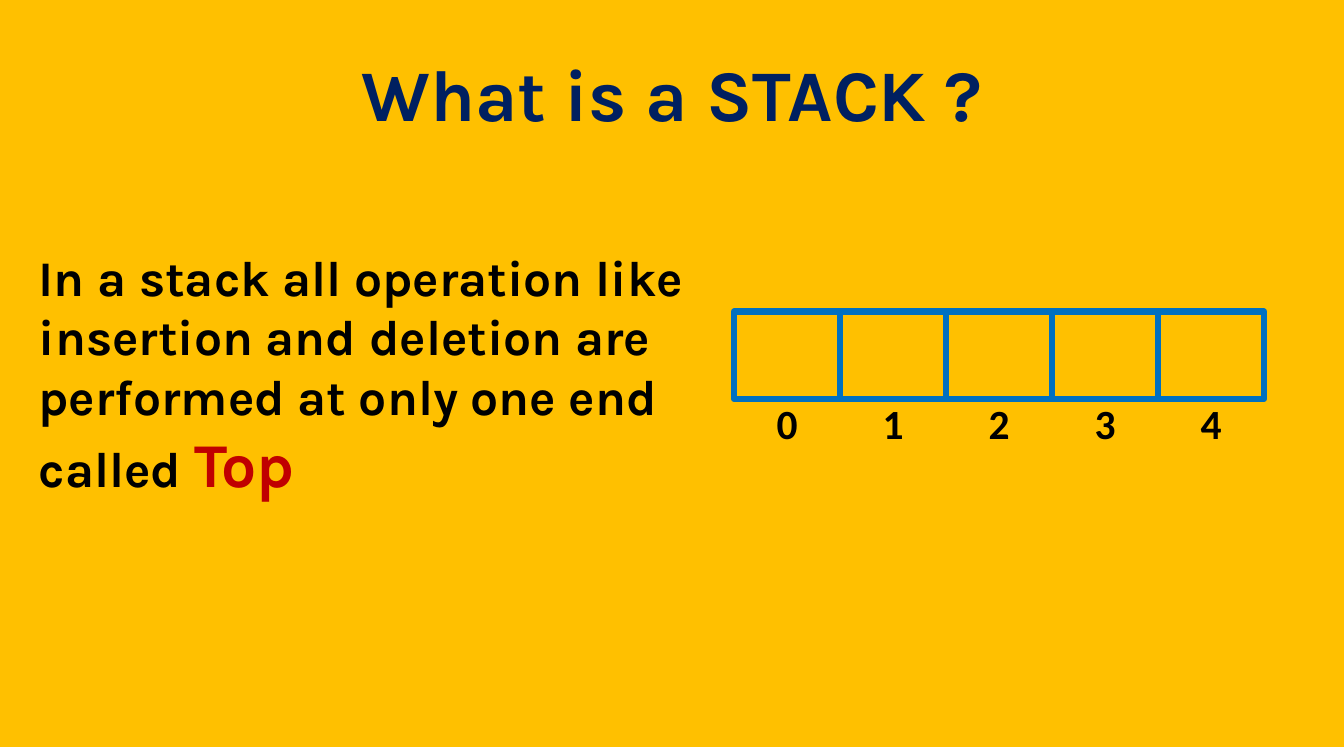
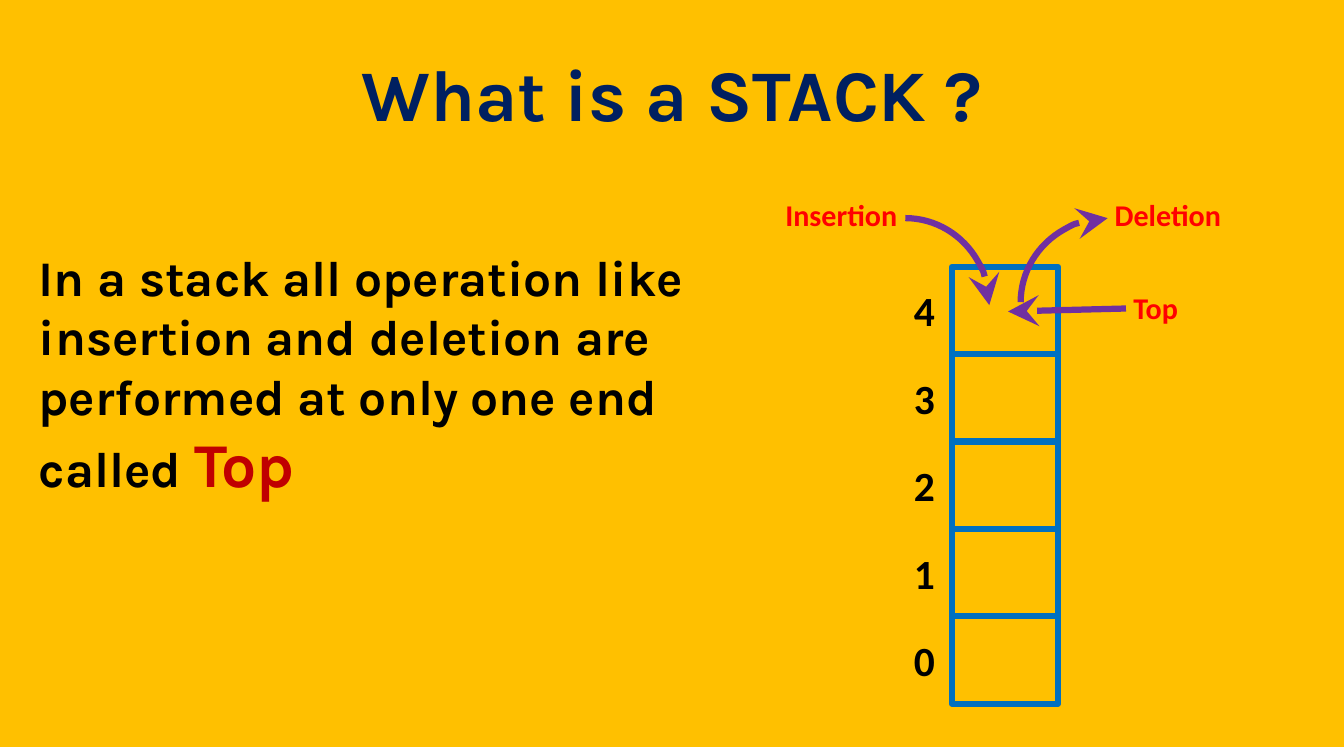
from dataclasses import dataclass
from typing import Any

from lxml.etree import SubElement
from pptx import Presentation
from pptx.dml.color import RGBColor
from pptx.enum.shapes import MSO_CONNECTOR, MSO_SHAPE
from pptx.enum.text import MSO_ANCHOR, MSO_AUTO_SIZE, PP_ALIGN
from pptx.oxml.ns import qn
from pptx.util import Inches, Pt

BACKGROUND = "FFC000"
NAVY = "002060"
BLUE = "0070C0"
PURPLE = "7030A0"
RED = "FF0000"
DARK_RED = "C00000"
BLACK = "000000"

CELL_WIDTH = 1.42
CELL_HEIGHT = 1.17
CELL_COUNT = 5


@dataclass(frozen=True)
class Box:
    left: float
    top: float
    width: float
    height: float

    def lengths(self) -> tuple:
        return tuple(Inches(v) for v in (self.left, self.top, self.width, self.height))


@dataclass(frozen=True)
class Span:
    text: str
    size: float
    color: str
    font: str = "Calibri"


@dataclass(frozen=True)
class Callout:
    text: str
    box: Box


@dataclass(frozen=True)
class CurvedArrow:
    box: Box
    rotation: float


TITLE = Span("What is a STACK ?", 70, NAVY, "Karla")
TITLE_BOX = Box(0.9, 0.4, 16.2, 1.67)
BODY = (
    Span(
        "In a stack all operation like insertion and deletion are "
        "performed at only one end called ", 48, BLACK, "Karla"),
    Span("Top", 60, DARK_RED, "Karla"),
)
BODY_BOX = Box(0.42, 3.25, 9, 3.64)

CENTERED = {"word_wrap": True, "vertical_anchor": MSO_ANCHOR.MIDDLE}
TITLE_FORMAT = CENTERED | {
    "margin_left": Inches(0.16), "margin_right": Inches(0.16),
    "margin_top": Inches(0.08), "margin_bottom": Inches(0.08),
}
BODY_FORMAT = {"word_wrap": True, "auto_size": MSO_AUTO_SIZE.SHAPE_TO_FIT_TEXT}
CALLOUT_FORMAT = BODY_FORMAT | {"word_wrap": False}

CALLOUTS = (
    Callout("Insertion", Box(10.42, 2.58, 1.72, 0.59)),
    Callout("Deletion", Box(14.83, 2.58, 1.64, 0.59)),
    Callout("Top", Box(15.08, 3.83, 0.81, 0.59)),
)
CURVED_ARROWS = (
    CurvedArrow(Box(11, 2.92, 2.25, 2.33), 0),
    CurvedArrow(Box(13.71, 2.88, 2.25, 2.33), 270),
)


def rgb(color: str) -> RGBColor:
    return RGBColor.from_string(color)


def apply(target: Any, values: dict[str, Any]) -> None:
    for name, value in values.items():
        setattr(target, name, value)


def add_text(slide: Any, box: Box, spans: tuple[Span, ...],
             frame_format: dict[str, Any], alignment: Any = PP_ALIGN.LEFT) -> None:
    frame = slide.shapes.add_textbox(*box.lengths()).text_frame
    apply(frame, frame_format)
    paragraph = frame.paragraphs[0]
    paragraph.alignment = alignment
    for span in spans:
        run = paragraph.add_run()
        run.text = span.text
        apply(run.font, {"name": span.font, "size": Pt(span.size), "bold": True})
        run.font.color.rgb = rgb(span.color)


def style_line(shape: Any, color: str) -> None:
    shape.line.width = Pt(6)
    shape.line.color.rgb = rgb(color)


def add_outline(slide: Any, kind: Any, box: Box, color: str) -> Any:
    shape = slide.shapes.add_shape(kind, *box.lengths())
    shape.shadow.inherit = False
    shape.fill.background()
    style_line(shape, color)
    return shape


def add_arrowhead(shape: Any) -> None:
    line = shape.line._get_or_add_ln()
    SubElement(line, qn("a:tailEnd"), type="stealth", w="lg", len="lg")


def add_cells(slide: Any, left: float, top: float, step_x: float, step_y: float,
              label_x: float, label_y: float) -> None:
    for index in range(CELL_COUNT):
        x, y = left + index * step_x, top + index * step_y
        add_outline(slide, MSO_SHAPE.RECTANGLE,
                    Box(x, y, CELL_WIDTH, CELL_HEIGHT), BLUE)
        add_text(slide, Box(x + label_x, y + label_y, CELL_WIDTH, CELL_HEIGHT),
                 (Span(str(index), 40, BLACK),), CENTERED, PP_ALIGN.CENTER)


def add_stack_slide(presentation: Any) -> Any:
    slide = presentation.slides.add_slide(presentation.slide_layouts[6])
    slide.background.fill.solid()
    slide.background.fill.fore_color.rgb = rgb(BACKGROUND)
    add_text(slide, TITLE_BOX, (TITLE,), TITLE_FORMAT, PP_ALIGN.CENTER)
    add_text(slide, BODY_BOX, BODY, BODY_FORMAT)
    return slide


def add_operations(slide: Any) -> None:
    for arrow in CURVED_ARROWS:
        arc = add_outline(slide, MSO_SHAPE.ARC, arrow.box, PURPLE)
        arc.rotation = arrow.rotation
        add_arrowhead(arc)
    for callout in CALLOUTS:
        add_text(slide, callout.box, (Span(callout.text, 29, RED),), CALLOUT_FORMAT)
    pointer = slide.shapes.add_connector(
        MSO_CONNECTOR.STRAIGHT,
        Inches(15.08), Inches(4.13), Inches(13.5), Inches(4.17))
    style_line(pointer, PURPLE)
    add_arrowhead(pointer)
    SubElement(pointer._element.spPr, qn("a:effectLst"))


def main() -> None:
    presentation = Presentation()
    apply(presentation, {"slide_width": Inches(18), "slide_height": Inches(10)})

    array_slide = add_stack_slide(presentation)
    add_cells(array_slide, 9.83, 4.17, CELL_WIDTH, 0, 0, 0.91)

    stack_slide = add_stack_slide(presentation)
    add_cells(stack_slide, 12.75, 8.25, 0, -CELL_HEIGHT, -1.08, 0)
    add_operations(stack_slide)

    presentation.save("out.pptx")


if __name__ == "__main__":
    main()
